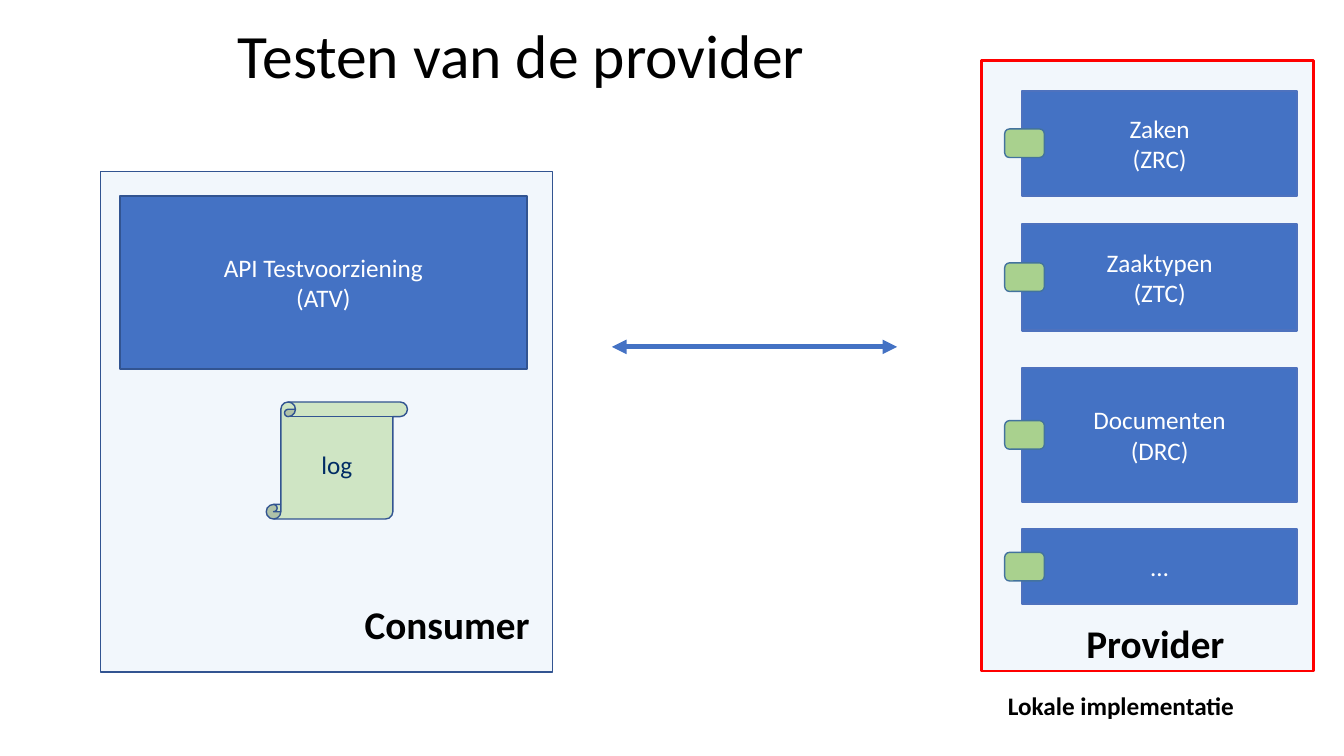
import pptx
import pptx.util
import pptx.dml.color
import pptx.enum.shapes
import pptx.enum.text
import pptx.oxml
import pptx.oxml.ns

Cm, Pt = pptx.util.Cm, pptx.util.Pt
MSO_SHAPE = pptx.enum.shapes.MSO_SHAPE
PP_ALIGN = pptx.enum.text.PP_ALIGN
MSO_ANCHOR = pptx.enum.text.MSO_ANCHOR
NAMESPACE = pptx.oxml.ns.nsdecls("a")


def paint(color_format, hex_color):
    color_format.rgb = pptx.dml.color.RGBColor.from_string(hex_color)


class Diagram:
    font = "Calibri"
    blue, dark_blue, white, black = "4472C4", "325491", "FFFFFF", "000000"

    def __init__(self, slide):
        self.slide = slide

    def set_text(self, shape, text, size, color, bold=False, align=PP_ALIGN.LEFT, spacing=None):
        shape.text_frame.text = text
        font_format = {"name": self.font, "size": Pt(size), "bold": bold}
        paragraph_format = {"alignment": align, "line_spacing": spacing}
        for paragraph in shape.text_frame.paragraphs:
            for name, value in paragraph_format.items():
                setattr(paragraph, name, value)
            for run in paragraph.runs:
                for name, value in font_format.items():
                    setattr(run.font, name, value)
                paint(run.font.color, color)

    def title(self, text, box):
        title = self.slide.shapes.title
        for name, value in zip(("left", "top", "width", "height"), box):
            setattr(title, name, Cm(value))
        title.text_frame.vertical_anchor = MSO_ANCHOR.MIDDLE
        title.text_frame.auto_size = pptx.enum.text.MSO_AUTO_SIZE.NONE
        self.set_text(title, text, 44, self.black, spacing=0.9)

    def block(self, box, fill, line, line_width, text="", color=white,
              kind=MSO_SHAPE.RECTANGLE, opacity=100):
        block = self.slide.shapes.add_shape(kind, *map(Cm, box))
        block.shadow.inherit = False
        block.fill.solid()
        paint(block.fill.fore_color, fill)
        if opacity < 100:
            fill_color = block._element.spPr.find(".//" + pptx.oxml.ns.qn("a:srgbClr"))
            fill_color.append(pptx.oxml.parse_xml(f'<a:alpha {NAMESPACE} val="{opacity * 1000}"/>'))
        paint(block.line.color, line)
        block.line.width = Pt(line_width)
        if text:
            block.text_frame.vertical_anchor = MSO_ANCHOR.MIDDLE
            self.set_text(block, text, 18, color, align=PP_ALIGN.CENTER)

    def label(self, text, box, size, wrap=False):
        label = self.slide.shapes.add_textbox(*map(Cm, box))
        label.text_frame.word_wrap = wrap
        self.set_text(label, text, size, self.black, bold=True)

    def double_arrow(self, left, right, y):
        arrow = self.slide.shapes.add_connector(
            pptx.enum.shapes.MSO_CONNECTOR.STRAIGHT, Cm(left), Cm(y), Cm(right), Cm(y))
        paint(arrow.line.color, self.blue)
        arrow.line.width = Pt(3.5)
        outline = arrow._element.spPr.find(pptx.oxml.ns.qn("a:ln"))
        for end in ("headEnd", "tailEnd"):
            outline.append(pptx.oxml.parse_xml(f'<a:{end} {NAMESPACE} type="triangle"/>'))
        arrow._element.spPr.append(pptx.oxml.parse_xml(f"<a:effectLst {NAMESPACE}/>"))


def main():
    presentation = pptx.Presentation()
    presentation.slide_width, presentation.slide_height = Cm(33.87), Cm(19.05)
    diagram = Diagram(presentation.slides.add_slide(presentation.slide_layouts[5]))
    diagram.title("Testen van de provider", (5.74, 0.48, 16.56, 2.01))

    # Provider with its services, each with a port centred on its left edge
    diagram.block((24.74, 1.52, 8.36, 15.39), "DEEBF7", "FF0000", 2, opacity=37)
    services = [
        ("Zaken\v(ZRC)", 2.29, 2.64),
        ("Zaaktypen\v(ZTC)", 5.64, 2.69),
        ("Documenten\v(DRC)", 9.27, 3.38),
        ("…", 13.34, 1.88),
    ]
    service_left, port_width, port_height = 25.76, 1, 0.72
    port_left = 25.32
    for service, top, height in services:
        diagram.block((service_left, top, 6.93, height), diagram.blue, "4E72BE", 1.5, service)
        port_top = top + (height - port_height) / 2
        diagram.block((port_left, port_top, port_width, port_height), "A9D18E", "43739E", 1,
                      kind=MSO_SHAPE.ROUNDED_RECTANGLE)
    diagram.label("Provider", (27.13, 15.49, 4.04, 1.45), 28)
    diagram.label("Lokale implementatie", (25.15, 17.27, 8.15, 1.27), 18, wrap=True)

    # Traffic between consumer and provider
    diagram.double_arrow(15.42, 22.61, 8.74)

    # Consumer with the test facility and its log
    diagram.block((2.54, 4.32, 11.38, 12.62), "DEEBF7", diagram.dark_blue, 1, opacity=37)
    diagram.block((6.71, 10.13, 3.56, 2.95), "C5E0B4", diagram.dark_blue, 1, "log", "002C64",
                  MSO_SHAPE.VERTICAL_SCROLL, 77)
    diagram.block((3.02, 4.95, 10.26, 4.34), diagram.blue, diagram.dark_blue, 1.5,
                  "API Testvoorziening\n(ATV)")
    diagram.label("Consumer", (8.94, 14.99, 4.72, 1.45), 28)

    presentation.save("out.pptx")


if __name__ == "__main__":
    main()
